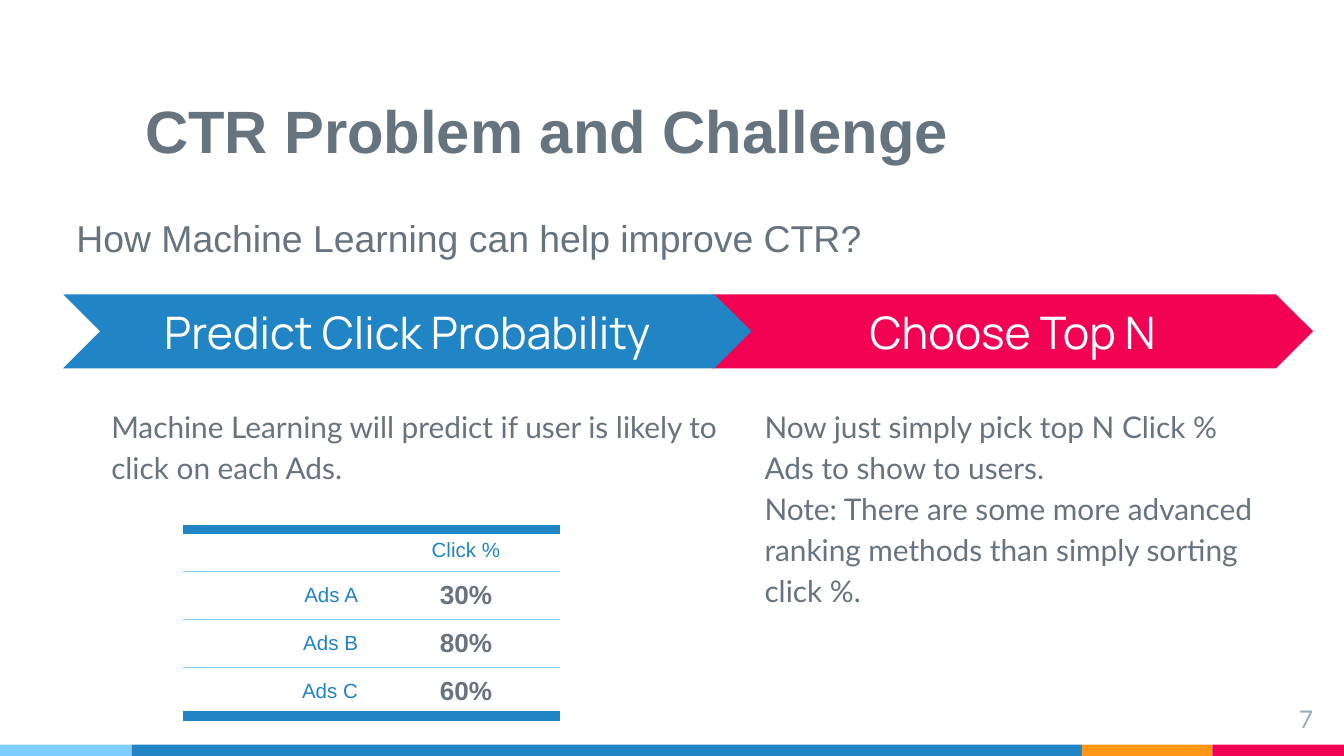
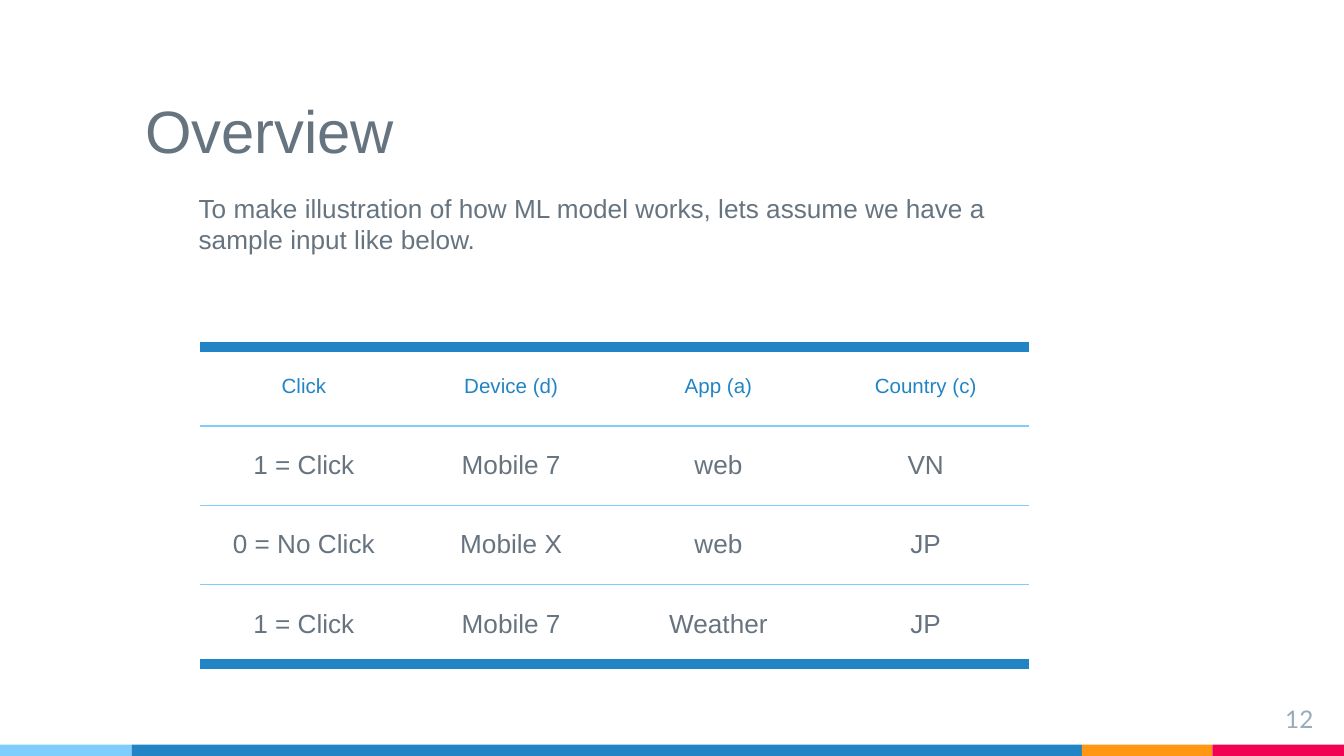
from lxml import etree
from pptx import Presentation
from pptx.dml.color import RGBColor
from pptx.enum.shapes import MSO_SHAPE
from pptx.enum.text import MSO_ANCHOR, MSO_AUTO_SIZE, PP_ALIGN
from pptx.oxml.ns import qn
from pptx.util import Inches, Pt

LEFT, CENTER, RIGHT = PP_ALIGN.LEFT, PP_ALIGN.CENTER, PP_ALIGN.RIGHT
TOP, MIDDLE, BOTTOM = MSO_ANCHOR.TOP, MSO_ANCHOR.MIDDLE, MSO_ANCHOR.BOTTOM
RECTANGLE, CHEVRON = MSO_SHAPE.RECTANGLE, MSO_SHAPE.CHEVRON
NO_AUTOFIT = MSO_AUTO_SIZE.NONE
TITLE_ONLY = 5

COLORS = {
    "title": "667480",
    "body": "677480",
    "number": "97ABBC",
    "white": "FFFFFF",
    "sky": "7ECEFD",
    "blue": "2185C5",
    "orange": "FF9715",
    "pink": "F20253",
}
BANDS = [("sky", 0.98), ("blue", 7.07), ("orange", 0.97), ("pink", 0.98)]


def rgb(name):
    """Return the named palette colour."""
    return RGBColor.from_string(COLORS[name])


def place(shape, box):
    """Move a shape to a left, top, width, height box in inches."""
    shape.left, shape.top, shape.width, shape.height = map(Inches, box)


def style_para(para, font, size, color, align=LEFT, bold=False):
    """Set the font and alignment of a paragraph."""
    para.alignment = align
    para.font.name = font
    para.font.size = Pt(size)
    para.font.bold = bold
    para.font.color.rgb = rgb(color)


def fill_frame(frame, lines, font, size, color, align=LEFT, anchor=TOP,
               bold=False, line_spacing=None, space_before=None):
    """Write lines into a text frame, one paragraph each."""
    frame.word_wrap = True
    frame.auto_size = NO_AUTOFIT
    frame.vertical_anchor = anchor
    frame.margin_left = frame.margin_right = Inches(0.1)
    frame.margin_top = frame.margin_bottom = Inches(0.1)
    frame.text = "\n".join(lines)
    for para in frame.paragraphs:
        style_para(para, font, size, color, align, bold)
        if line_spacing:
            para.line_spacing = line_spacing
        if space_before:
            para.space_before = Pt(space_before)


def add_text(page, box, lines, font, size, color, **options):
    """Add a wrapped text box."""
    text_box = page.shapes.add_textbox(*map(Inches, box))
    fill_frame(text_box.text_frame, lines, font, size, color, **options)


def add_solid(page, kind, box, color):
    """Add a flat filled shape without outline."""
    shape = page.shapes.add_shape(kind, *map(Inches, box))
    shape.shadow.inherit = False
    shape.fill.solid()
    shape.fill.fore_color.rgb = rgb(color)
    shape.line.fill.background()
    return shape


def add_step(page, left, width, label, color):
    """Add a labelled chevron of the process row."""
    step = add_solid(page, CHEVRON, (left, 2.19, width, 0.55), color)
    fill_frame(step.text_frame, [label], "Manrope", 24, "white",
               align=CENTER, anchor=MIDDLE)


def add_master_bands(deck, page):
    """Draw the bottom colour bands and move them to the slide master."""
    left = 0
    for color, width in BANDS:
        band = add_solid(page, RECTANGLE, (left, 5.54, width, 0.08), color)
        band.height = deck.slide_height - band.top
        deck.slide_master.shapes._spTree.append(band._element)
        left += width


def add_page(deck, title, number, bold=False):
    """Add a slide with its title and number."""
    page = deck.slides.add_slide(deck.slide_layouts[TITLE_ONLY])
    place(page.shapes.title, (0.98, 0.39, 7.07, 0.94))
    fill_frame(page.shapes.title.text_frame, [title], "Arial", 32, "title",
               anchor=BOTTOM, bold=bold)
    add_text(page, (9.27, 5.14, 0.6, 0.34), [str(number)], "Lato", 13,
             "number", align=RIGHT)
    return page


def set_borders(cell, top, bottom):
    """Rule a cell above and below with (colour, points) and clear its sides."""
    properties = cell._tc.get_or_add_tcPr()
    sides = [("a:lnL", None), ("a:lnR", None), ("a:lnT", top), ("a:lnB", bottom)]
    for index, (tag, rule) in enumerate(sides):
        line = etree.Element(qn(tag))
        if rule:
            color, points = rule
            line.set("w", str(Pt(points)))
            fill = etree.SubElement(line, qn("a:solidFill"))
            etree.SubElement(fill, qn("a:srgbClr"), val=COLORS[color])
        else:
            etree.SubElement(line, qn("a:noFill"))
        properties.insert(index, line)


def add_ruled_table(page, box, heights, rows, row_labels=False, bold=False):
    """Add a table with thick outer rules, thin inner rules and blue headings."""
    thick, thin = ("blue", 6), ("sky", 0.75)
    last = len(rows) - 1
    holder = page.shapes.add_table(len(rows), len(rows[0]), *map(Inches, box))
    table = holder.table
    for row, height in zip(table.rows, heights):
        row.height = Inches(height)
    holder.height = Inches(box[3])
    for r, values in enumerate(rows):
        for c, value in enumerate(values):
            cell = table.cell(r, c)
            cell.text = value
            cell.vertical_anchor = MIDDLE
            cell.margin_top = cell.margin_bottom = Inches(0.07)
            cell.fill.background()
            is_label = row_labels and c == 0
            para = cell.text_frame.paragraphs[0]
            if r == 0 or is_label:
                style_para(para, "Arial", 11, "blue",
                           RIGHT if is_label else CENTER)
            else:
                style_para(para, "Arial", 14, "body", CENTER, bold)
            set_borders(cell, thick if r == 0 else thin,
                        thick if r == last else thin)


def build_challenge(deck):
    """Build the slide on predicting clicks and choosing the best ads."""
    page = add_page(deck, "CTR Problem and Challenge", 7, bold=True)
    add_master_bands(deck, page)
    add_step(page, 5.3, 4.47, "Choose Top N", "pink")
    add_text(page, (5.59, 2.9, 3.91, 2.24),
             ["Now just simply pick top N Click % Ads to show to users.",
              "Note: There are some more advanced ranking methods than simply "
              "sorting click %."],
             "Lato", 16, "body", line_spacing=1.15)
    add_text(page, (0.73, 2.9, 4.73, 1.48),
             ["Machine Learning will predict if user is likely to click on "
              "each Ads."],
             "Lato", 16, "body", line_spacing=1.15)
    add_step(page, 0.47, 5.12, "Predict Click Probability", "blue")
    add_text(page, (0.47, 1.5, 9.03, 0.55),
             ["How Machine Learning can help improve CTR?"],
             "Arial", 20, "title")
    rows = [("", "Click %"), ("Ads A", "30%"), ("Ads B", "80%"),
            ("Ads C", "60%")]
    add_ruled_table(page, (1.36, 3.94, 2.81, 1.48), [0.3] + [0.35] * 3, rows,
                    row_labels=True, bold=True)


def build_overview(deck):
    """Build the slide with the sample input table."""
    page = add_page(deck, "Overview", 12)
    rows = [("Click", "Device (d)", "App (a)", "Country (c)"),
            ("1 = Click", "Mobile 7", "web", "VN"),
            ("0 = No Click", "Mobile X", "web", "JP"),
            ("1 = Click", "Mobile 7", "Weather", "JP")]
    add_ruled_table(page, (1.49, 2.58, 6.17, 2.37), [0.59] * 4, rows)
    add_text(page, (1.38, 1.33, 6.4, 1.25),
             ["To make illustration of how ML model works, lets assume we have "
              "a sample input like below."],
             "Arial", 14, "title", space_before=6)


def main():
    """Build and save the deck."""
    deck = Presentation()
    deck.slide_width = Inches(10)
    deck.slide_height = deck.slide_width * 9 // 16
    build_challenge(deck)
    build_overview(deck)
    deck.save("out.pptx")


if __name__ == "__main__":
    main()
